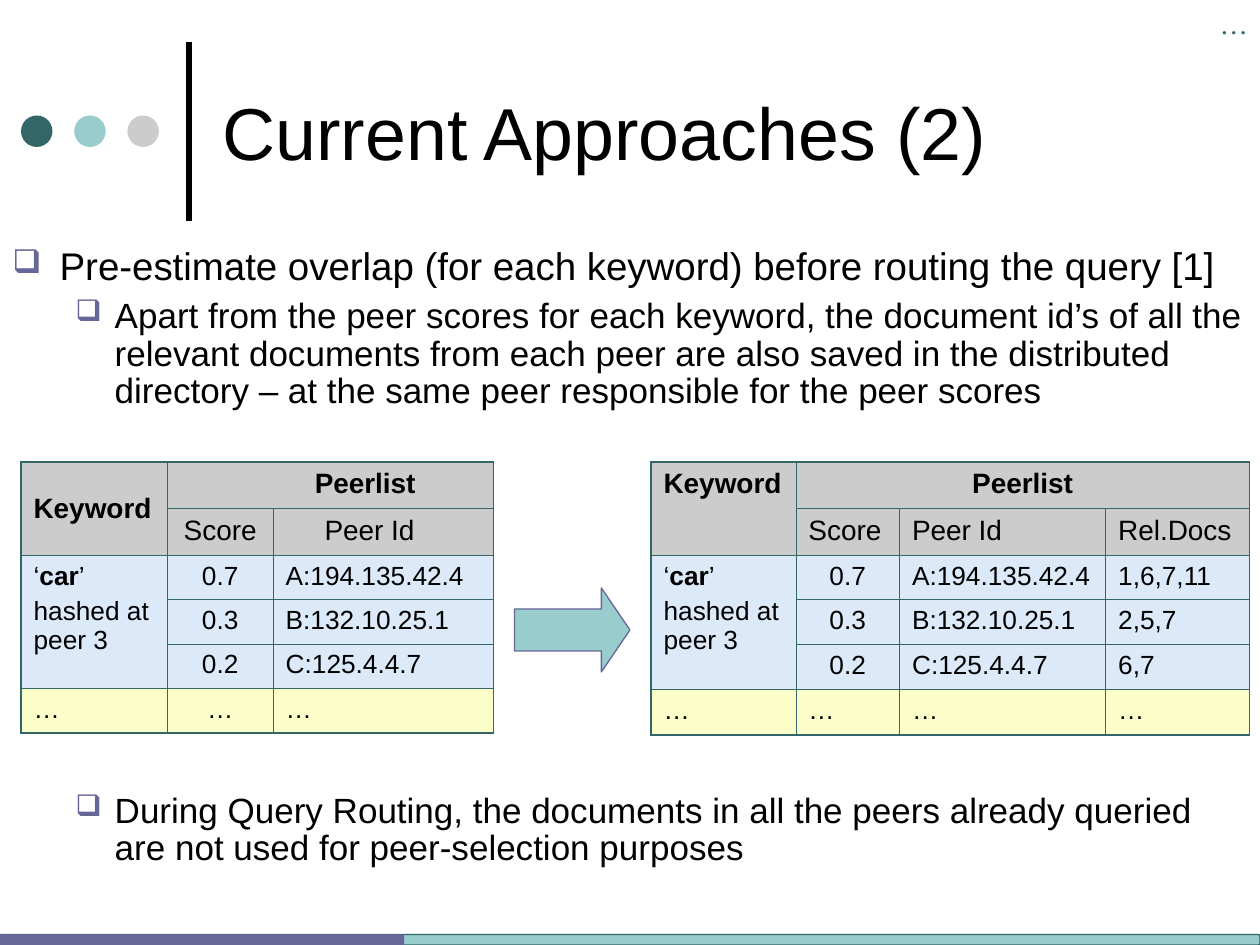
from lxml import etree
from pptx import Presentation
from pptx.dml.color import RGBColor
from pptx.enum.shapes import MSO_CONNECTOR as Link, MSO_SHAPE as Kind
from pptx.enum.text import MSO_ANCHOR as Anchor, PP_ALIGN as Align
from pptx.oxml.ns import qn
from pptx.util import Pt

BLACK = RGBColor(0x00, 0x00, 0x00)
TEAL = RGBColor(0x33, 0x66, 0x66)
AQUA = RGBColor(0x99, 0xCC, 0xCC)
GREY = RGBColor(0xCC, 0xCC, 0xCC)
PLUM = RGBColor(0x66, 0x66, 0x99)
BLUE = RGBColor(0xDC, 0xE9, 0xF8)
CREAM = RGBColor(0xFC, 0xFE, 0xCA)


def write(par, text, size=15, bold=False, color=BLACK, face="Arial", align=Align.LEFT):
    """Add one run to a paragraph."""
    par.alignment = align
    run = par.add_run()
    run.text = text
    font = run.font
    font.size, font.bold, font.name = Pt(size), bold, face
    font.color.rgb = color


def draw(kind, box, fill, line=None):
    shape = slide.shapes.add_shape(kind, *map(Pt, box))
    shape.shadow.inherit = False
    shape.fill.solid()
    shape.fill.fore_color.rgb = fill
    if line is None:
        shape.line.fill.background()
    else:
        shape.line.color.rgb = line
        shape.line.width = Pt(0.75)
    return shape


deck = Presentation()
deck.slide_width, deck.slide_height = Pt(720), Pt(540)
slide = deck.slides.add_slide(deck.slide_layouts[6])

# Title with its rule and dots
rule = slide.shapes.add_connector(Link.STRAIGHT, Pt(108), Pt(126), Pt(108), Pt(24))
rule.line.color.rgb = BLACK
rule.line.width = Pt(3)
etree.SubElement(rule._element.spPr, qn("a:effectLst"))
for i, color in enumerate((TEAL, AQUA, GREY)):
    draw(Kind.OVAL, (12 + 30.4 * i, 66, 18, 18), color)

title = slide.shapes.add_textbox(Pt(120), Pt(15), Pt(552), Pt(120)).text_frame
title.word_wrap = True
title.vertical_anchor = Anchor.MIDDLE
write(title.paragraphs[0], "Current Approaches (2)", size=42)

# Bullets: text, size, indent, hanging, space before
points = [
    ("Pre-estimate overlap (for each keyword) before routing the query [1]",
     22, 27, 27, 0),
    ("Apart from the peer scores for each keyword, the document id’s of all the "
     "relevant documents from each peer are also saved in the distributed "
     "directory – at the same peer responsible for the peer scores",
     20, 58.5, 22.5, 5),
    ("During Query Routing, the documents in all the peers already queried "
     "are not used for peer-selection purposes",
     20, 58.5, 22.5, 218),
]
body = slide.shapes.add_textbox(0, Pt(138), Pt(720), Pt(384)).text_frame
body.word_wrap = True
for i, (text, size, left, hang, gap) in enumerate(points):
    par = body.add_paragraph() if i else body.paragraphs[0]
    props = par._p.get_or_add_pPr()
    props.set("marL", str(Pt(left)))
    props.set("indent", str(-Pt(hang)))
    tint = etree.SubElement(props, qn("a:buClr"))
    etree.SubElement(tint, qn("a:srgbClr"), val=str(PLUM))
    etree.SubElement(props, qn("a:buSzPct"), val="85000")
    etree.SubElement(props, qn("a:buChar"), char="❑")
    par.line_spacing = 0.9
    par.space_before = Pt(gap)
    write(par, text, size=size)

# Tables: left edge, column widths, row heights, columns of text
scores = ["Score", "0.7", "0.3", "0.2", "…"]
peers = ["Peer Id", "A:194.135.42.4", "B:132.10.25.1", "C:125.4.4.7", "…"]
docs = ["Rel.Docs", "1,6,7,11", "2,5,7", "6,7", "…"]
tables = [
    (12, [83.6, 60.5, 125.9], [26.6, 26.6] + [25.4] * 4, [scores, peers]),
    (372, [82.8, 59.2, 117.8, 82.2], [26.6, 26.6, 25.4] + [25.8] * 3,
     [scores, peers, docs]),
]
fills = [GREY, GREY, BLUE, BLUE, BLUE, CREAM]
for left, widths, heights, lists in tables:
    wide, high = len(widths), len(heights)
    grid = slide.shapes.add_table(high, wide, Pt(left), Pt(264),
                                  Pt(sum(widths)), Pt(sum(heights))).table
    grid.first_row = grid.horz_banding = False
    for col, width in zip(grid.columns, widths):
        col.width = Pt(width)
    for row, height in zip(grid.rows, heights):
        row.height = Pt(height)

    for r in range(high):
        for c in range(wide):
            cell = grid.cell(r, c)
            props = cell._tc.get_or_add_tcPr()
            edges = {"L": c == 0, "R": c == wide - 1, "T": r == 0, "B": r == high - 1}
            for side, outer in edges.items():
                edge = etree.SubElement(props, qn("a:ln" + side),
                                        w=str(Pt(1.08 if outer else 0.45)))
                ink = etree.SubElement(edge, qn("a:solidFill"))
                etree.SubElement(ink, qn("a:srgbClr"), val=str(TEAL))
            cell.fill.solid()
            cell.fill.fore_color.rgb = fills[r]

    grid.cell(0, 0).merge(grid.cell(1, 0))
    grid.cell(0, 1).merge(grid.cell(0, wide - 1))
    grid.cell(2, 0).merge(grid.cell(4, 0))

    write(grid.cell(0, 0).text_frame.paragraphs[0], "Keyword", size=16, bold=True)
    write(grid.cell(0, 1).text_frame.paragraphs[0], "Peerlist", size=16, bold=True,
          align=Align.CENTER)
    key = grid.cell(2, 0).text_frame
    for text, bold in (("‘", False), ("car", True), ("’", False)):
        write(key.paragraphs[0], text, bold=bold)
    note = key.add_paragraph()
    note.space_before = Pt(3.7)
    write(note, "hashed at peer 3")
    write(grid.cell(5, 0).text_frame.paragraphs[0], "…")

    for c, items in enumerate(lists, 1):
        for r, text in enumerate(items, 1):
            mid = c == 1 and (wide == 3 or r in (2, 3, 4))
            write(grid.cell(r, c).text_frame.paragraphs[0], text,
                  size=16 if r == 1 else 15,
                  align=Align.CENTER if mid else Align.LEFT)

    if wide == 3:
        grid.cell(0, 0).vertical_anchor = Anchor.MIDDLE
        grid.cell(0, 1).margin_left = Pt(47)
        grid.cell(1, 2).margin_left = Pt(29.4)

# Arrow, corner mark and footer bar
arrow = draw(Kind.RIGHT_ARROW, (294, 336, 66, 48), AQUA, PLUM)
arrow.adjustments[1] = 0.34
mark = slide.shapes.add_textbox(Pt(690), 0, Pt(30), Pt(26.6)).text_frame
mark.word_wrap = False
write(mark.paragraphs[0], "…", size=16, color=TEAL, face="Times New Roman")
draw(Kind.FLOWCHART_ALTERNATE_PROCESS, (0, 534, 720, 6), AQUA, TEAL)
draw(Kind.RECTANGLE, (0, 534, 231, 6), PLUM)

deck.save("out.pptx")
